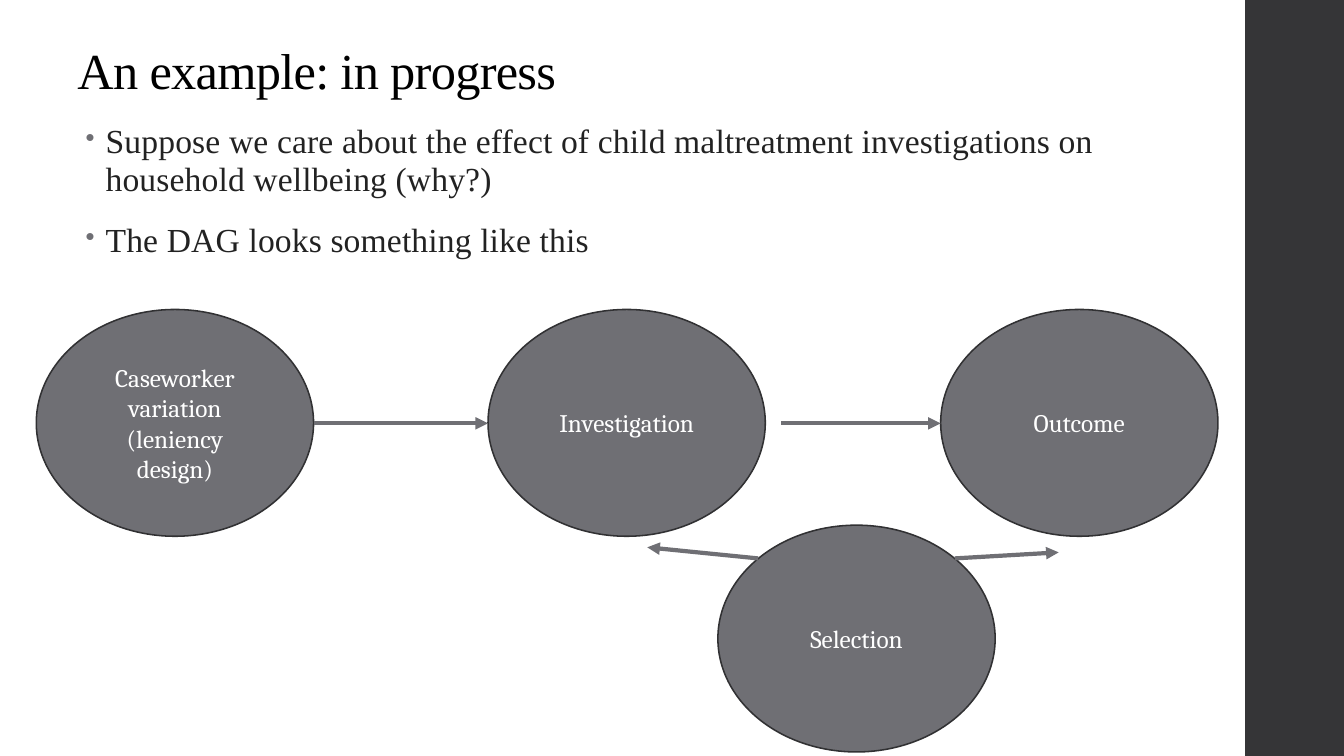
from lxml.etree import SubElement as Sub
from pptx import Presentation
from pptx.dml.color import RGBColor as Rgb
from pptx.enum.shapes import MSO_CONNECTOR as Link, MSO_SHAPE as Kind
from pptx.enum.text import MSO_ANCHOR as Anchor, PP_ALIGN as Align
from pptx.oxml.ns import qn
from pptx.util import Inches, Pt

WHITE = Rgb(0xFF, 0xFF, 0xFF)
BLACK = Rgb(0x00, 0x00, 0x00)
INK = Rgb(0x22, 0x22, 0x22)
GREY = Rgb(0x6F, 0x6F, 0x74)
EDGE = Rgb(0x31, 0x31, 0x33)
DARK = Rgb(0x35, 0x35, 0x37)

WIDE, HIGH = 2.75, 2.25
TOP = 3.07
MID = 4.2


def write(para, text, font="Times New Roman", size=18, color=BLACK,
          track=0, lead=None, align=None):
    run = para.add_run()
    run.text = text
    run.font.name = font
    run.font.size = Pt(size)
    run.font.color.rgb = color
    if track:
        run.font._element.set("spc", str(track))
    if lead:
        para.line_spacing = lead
    if align is not None:
        para.alignment = align


class Board:
    serif = "Cambria"

    def __init__(self, slide):
        self.shapes = slide.shapes

    def shape(self, kind, left, top, wide, high, fill, edge=None):
        item = self.shapes.add_shape(
            kind, Inches(left), Inches(top), Inches(wide), Inches(high))
        item.shadow.inherit = False
        item.fill.solid()
        item.fill.fore_color.rgb = fill
        if edge is None:
            item.line.fill.background()
        else:
            item.line.color.rgb = edge
            item.line.width = Pt(1.1)
        return item

    def box(self, left, top, wide, high, anchor=Anchor.TOP):
        frame = self.shapes.add_textbox(
            Inches(left), Inches(top), Inches(wide), Inches(high)).text_frame
        frame.word_wrap = True
        frame.vertical_anchor = anchor
        return frame

    def title(self, text):
        frame = self.box(0.67, 0.37, 11.42, 0.68, Anchor.BOTTOM)
        write(frame.paragraphs[0], text, size=36, track=-50, lead=0.9)

    def list(self, items):
        frame = self.box(0.75, 1.17, 11.33, 5.62)
        for num, text in enumerate(items):
            para = frame.add_paragraph() if num else frame.paragraphs[0]
            self.bullet(para)
            write(para, text, size=24, color=INK, track=10, lead=0.95)
            para.space_after = Pt(2)
            if num:
                para.space_before = Pt(14)

    def bullet(self, para):
        props = para._p.get_or_add_pPr()
        props.set("marL", str(Inches(0.2)))
        props.set("indent", str(Inches(-0.2)))
        tint = Sub(props, qn("a:buClr"))
        Sub(tint, qn("a:srgbClr"), val=str(GREY))
        Sub(props, qn("a:buSzPct"), val="80000")
        Sub(props, qn("a:buChar"), char="•")

    def node(self, text, left, top=TOP):
        item = self.shape(Kind.OVAL, left, top, WIDE, HIGH, GREY, EDGE)
        frame = item.text_frame
        frame.word_wrap = True
        frame.vertical_anchor = Anchor.MIDDLE
        write(frame.paragraphs[0], text, font=self.serif, color=WHITE,
              align=Align.CENTER)

    def arrow(self, start, end):
        line = self.shapes.add_connector(
            Link.STRAIGHT, *(Inches(val) for val in (*start, *end)))
        line.line.color.rgb = GREY
        line.line.width = Pt(3)
        Sub(line.line._get_or_add_ln(), qn("a:tailEnd"), type="triangle")
        Sub(line._element.spPr, qn("a:effectLst"))


def main():
    deck = Presentation()
    deck.slide_width = Inches(13.33)
    deck.slide_height = Inches(7.5)
    board = Board(deck.slides.add_slide(deck.slide_layouts[6]))

    board.shape(Kind.RECTANGLE, 12.35, 0, 0.98, 7.5, DARK)
    board.title("An example: in progress")
    board.list([
        "Suppose we care about the effect of child maltreatment "
        "investigations on household wellbeing (why?)",
        "The DAG looks something like this",
    ])

    board.node("Investigation", 4.84)
    board.node("Outcome", 9.33)
    board.node("Caseworker variation (leniency design)", 0.36)
    board.node("Selection", 7.12, 5.21)

    for start, end in (
        ((3.11, MID), (4.84, MID)),
        ((7.75, MID), (9.33, MID)),
        ((7.52, 5.54), (6.42, 5.43)),
        ((9.47, 5.54), (10.5, 5.48)),
    ):
        board.arrow(start, end)

    deck.save("out.pptx")


if __name__ == "__main__":
    main()
